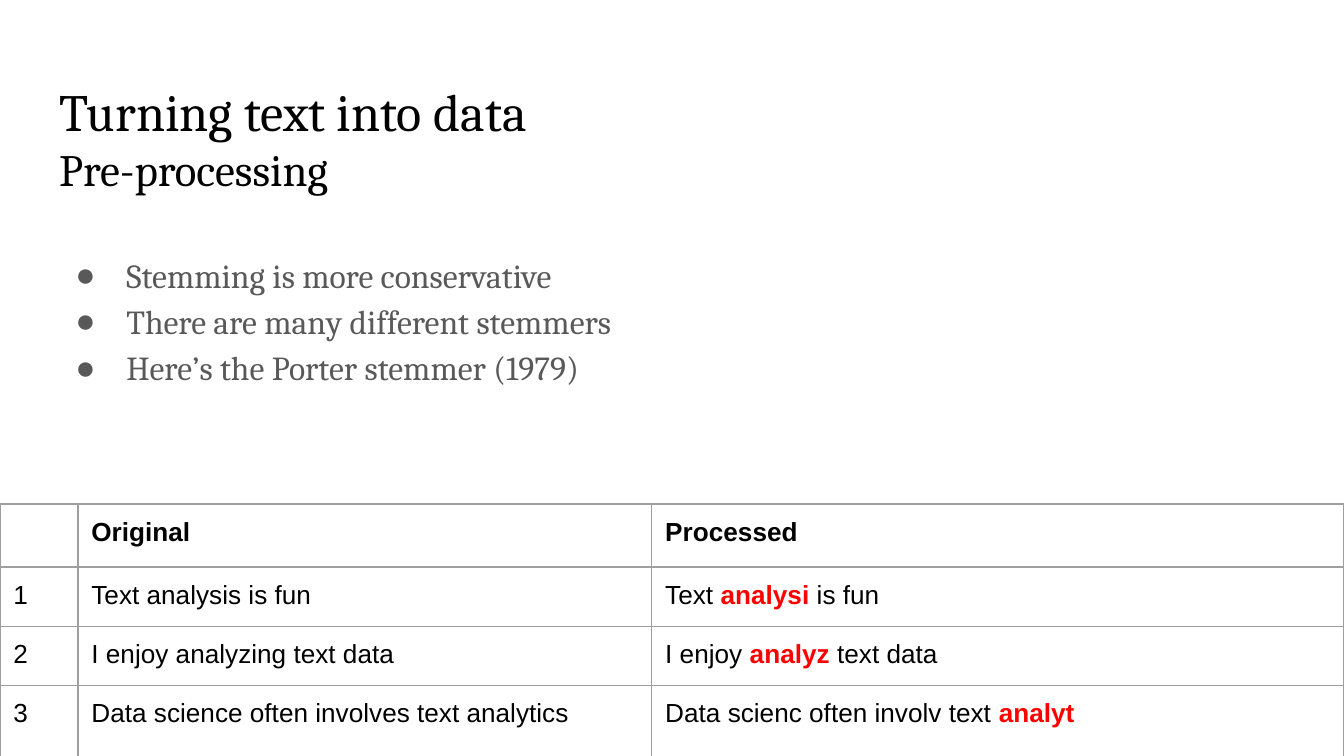
from dataclasses import dataclass

from lxml import etree
from pptx import Presentation
from pptx.dml.color import RGBColor
from pptx.enum.text import MSO_ANCHOR, MSO_AUTO_SIZE, PP_ALIGN
from pptx.oxml.ns import qn
from pptx.util import Inches, Pt

TOP = MSO_ANCHOR.TOP
FIXED = MSO_AUTO_SIZE.NONE
LEFT = PP_ALIGN.LEFT


@dataclass(frozen=True)
class Theme:
    serif: str = "Cambria"
    sans: str = "Arial"
    ink: str = "000000"
    gray: str = "595959"
    red: str = "FF0000"
    rule: str = "9E9E9E"
    paper: str = "FFFFFF"
    head: int = 28
    sub: int = 24
    body: int = 18
    cell: int = 14


theme = Theme()
pad = Inches(0.1)


def style(run, name, size, color, bold=False):
    font = run.font
    font.name, font.size, font.bold = name, Pt(size), bold
    font.color.rgb = RGBColor.from_string(color)


def place(shape, top, height):
    shape.left, shape.top = Inches(0.34), Inches(top)
    shape.width, shape.height = Inches(9.32), Inches(height)
    frame = shape.text_frame
    frame.word_wrap, frame.auto_size = True, FIXED
    frame.vertical_anchor = TOP
    frame.margin_left = frame.margin_right = pad
    frame.margin_top = frame.margin_bottom = pad
    return frame


# Slide in 16:9
deck = Presentation()
deck.slide_width = Inches(10)
deck.slide_height = Inches(10 * 9 / 16)
slide = deck.slides.add_slide(deck.slide_layouts[1])

# Title and subtitle
frame = place(slide.shapes.title, 0.49, 0.63)
frame.text = "Turning text into data\nPre-processing"
for para, size in zip(frame.paragraphs, (theme.head, theme.sub)):
    para.alignment = LEFT
    style(para.runs[0], theme.serif, size, theme.ink)

# Bullet list
points = [
    "Stemming is more conservative",
    "There are many different stemmers",
    "Here’s the Porter stemmer (1979)",
]
frame = place(slide.placeholders[1], 1.75, 3.25)
frame.text = "\n".join(points)
for para in frame.paragraphs:
    para.line_spacing = 1.15
    para.space_before = Pt(0)
    style(para.runs[0], theme.serif, theme.body, theme.gray)
    props = para._p.get_or_add_pPr()
    props.set("marL", str(Inches(0.5)))
    props.set("indent", str(-Inches(0.38)))
    tint = etree.SubElement(props, qn("a:buClr"))
    etree.SubElement(tint, qn("a:srgbClr"), val=theme.gray)
    etree.SubElement(props, qn("a:buFont"), typeface=theme.sans)
    etree.SubElement(props, qn("a:buChar"), char="●")

# Table: each cell is a list of pieces, and every second piece is a changed stem
rows = [
    [[], ["Original"], ["Processed"]],
    [["1"], ["Text analysis is fun"], ["Text ", "analysi", " is fun"]],
    [["2"], ["I enjoy analyzing text data"], ["I enjoy ", "analyz ", "text data"]],
    [["3"], ["Data science often involves text analytics"],
     ["Data scienc often involv text ", "analyt"]],
]
widths = [0.58, 4.27, 5.15]
heights = [0.47, 0.44, 0.44, 0.57]
table = slide.shapes.add_table(
    len(rows), len(widths), Inches(0), Inches(3.75),
    Inches(sum(widths)), Inches(sum(heights))).table
table.first_row = table.horz_banding = False
for col, width in zip(table.columns, widths):
    col.width = Inches(width)
for row, height in zip(table.rows, heights):
    row.height = Inches(height)

for r, row in enumerate(rows):
    for c, parts in enumerate(row):
        cell = table.cell(r, c)
        cell.margin_left = cell.margin_right = pad
        if parts:
            cell.margin_top = cell.margin_bottom = pad
        para = cell.text_frame.paragraphs[0]
        for i, part in enumerate(parts):
            run = para.add_run()
            run.text = part
            stem = i % 2 == 1
            color = theme.red if stem else theme.ink
            style(run, theme.sans, theme.cell, color, stem or r == 0)

        # Borders come before the fill in the cell properties
        props = cell._tc.get_or_add_tcPr()
        for side in ("a:lnL", "a:lnR", "a:lnT", "a:lnB"):
            line = etree.SubElement(props, qn(side), w=str(Pt(0.75)))
            fill = etree.SubElement(line, qn("a:solidFill"))
            etree.SubElement(fill, qn("a:srgbClr"), val=theme.rule)
        cell.fill.solid()
        cell.fill.fore_color.rgb = RGBColor.from_string(theme.paper)

deck.save("out.pptx")
